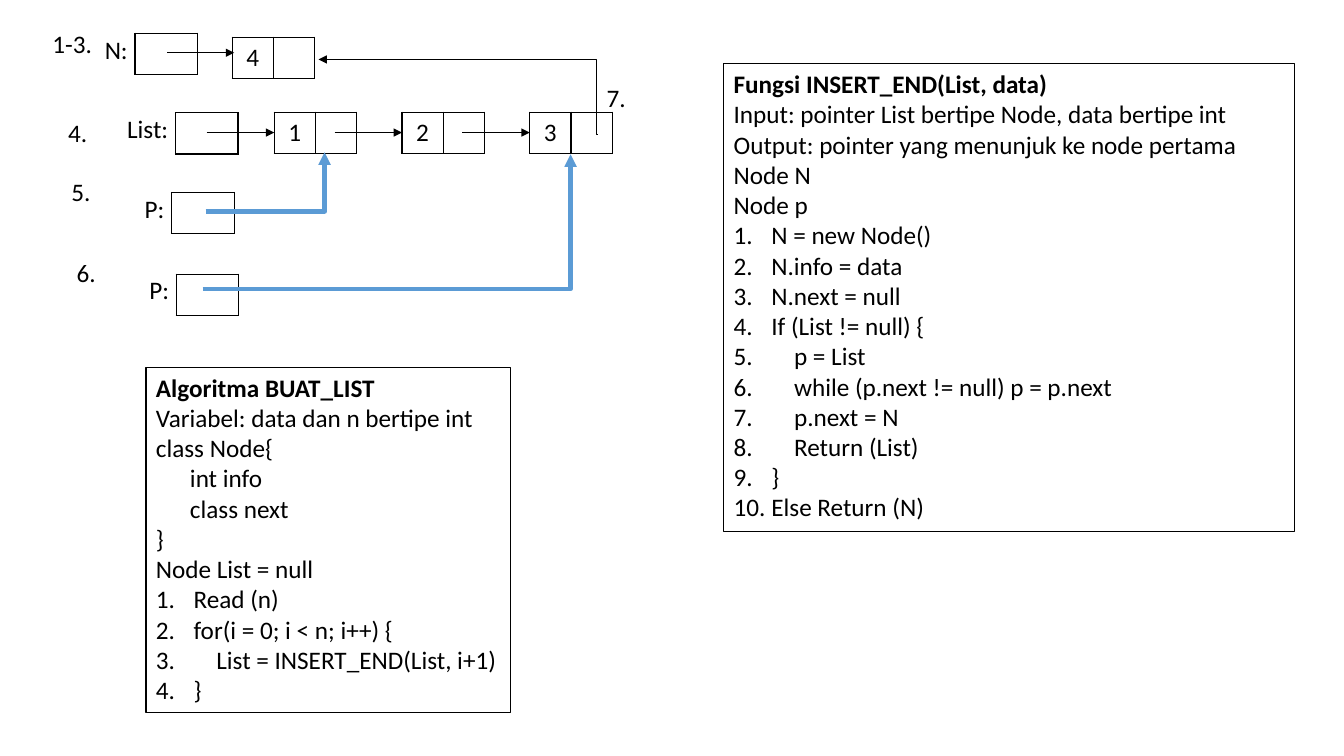
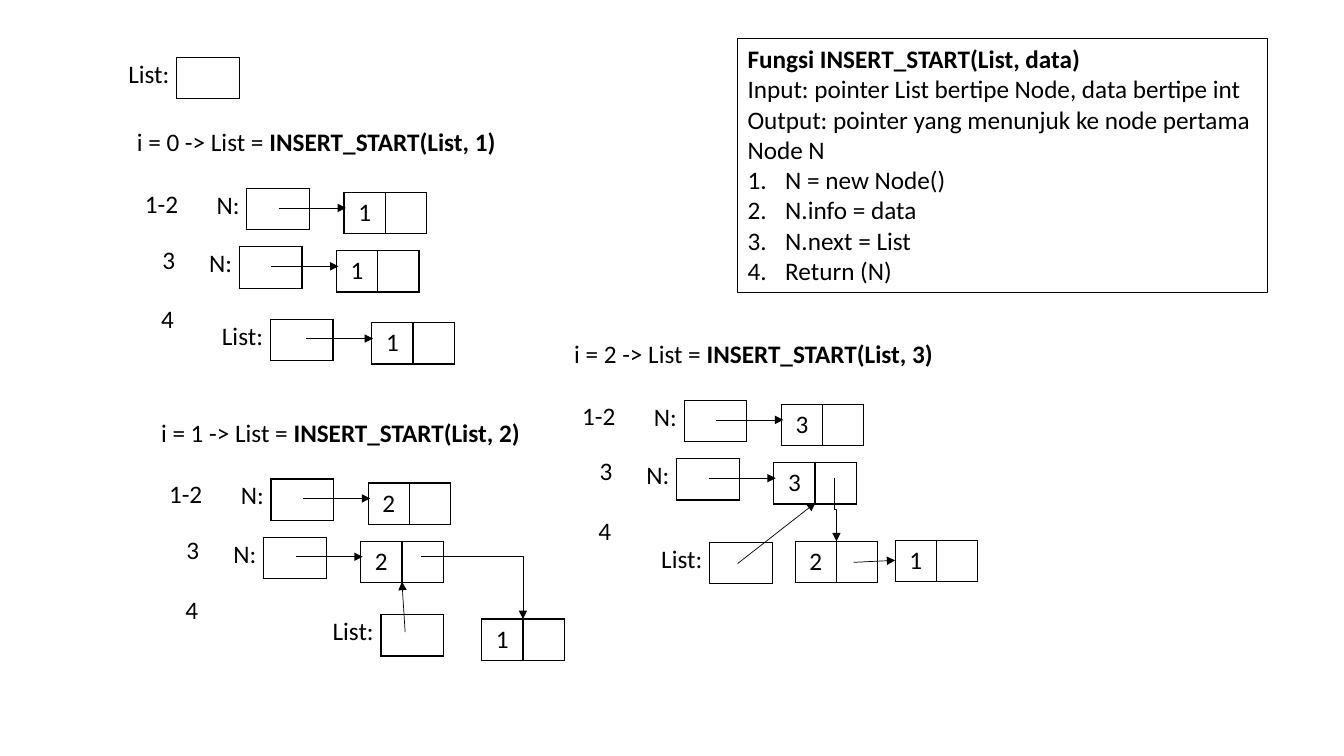
from dataclasses import dataclass
from typing import NamedTuple

from lxml import etree
from pptx import Presentation
from pptx import util as u
from pptx.dml import color
from pptx.enum import shapes, text
from pptx.oxml import ns


# Theme and shared measures (lengths in cm, type and lines in points)
@dataclass(frozen=True)
class Theme:
    font: str = "Calibri"
    size: float = 18
    ink: str = "000000"
    accent: str = "5B9BD5"
    border: float = 1
    outline: float = 0.75
    thin: float = 0.5
    thick: float = 3


THEME = Theme()
CELL_HEIGHT = 1.04
POINTER_WIDTH = 1.58
FIELD_WIDTH = 1.04
LABEL_WIDTH = 2.0
LINE_HEIGHT = 1.03
NUMBER_INDENT = 0.95


class Point(NamedTuple):
    x: float
    y: float

    def shift(self, dx: float, dy: float) -> "Point":
        return Point(self.x + dx, self.y + dy)


class Step(NamedTuple):
    number: str
    at: Point


class Pointer(NamedTuple):
    label: str
    at: Point


class Node(NamedTuple):
    info: str
    at: Point


class Arrow(NamedTuple):
    start: Point
    end: Point
    route: str = "straight"  # straight, corner, step or drop
    width: float = THEME.thin
    tint: str = THEME.ink


class Panel(NamedTuple):
    at: Point
    width: float
    height: float
    title: str
    intro: tuple[str, ...]
    numbered: tuple[str, ...]


class Call(NamedTuple):
    at: Point
    index: int
    data: str


# Text
def add_run(paragraph, words: str, bold: bool = False) -> None:
    run = paragraph.add_run()
    run.text = words
    run.font.name = THEME.font
    run.font.size = u.Pt(THEME.size)
    run.font.bold = bold
    run.font.color.rgb = color.RGBColor.from_string(THEME.ink)


def draw_text(slide, at: Point, width: float, *runs: tuple[str, bool],
              align=text.PP_ALIGN.LEFT) -> None:
    box = slide.shapes.add_textbox(u.Cm(at.x), u.Cm(at.y), u.Cm(width), u.Cm(LINE_HEIGHT))
    box.text_frame.word_wrap = True
    paragraph = box.text_frame.paragraphs[0]
    paragraph.alignment = align
    for words, bold in runs:
        add_run(paragraph, words, bold)


def number_line(paragraph) -> None:
    props = paragraph._p.get_or_add_pPr()
    indent = u.Cm(NUMBER_INDENT)
    props.set("marL", str(indent))
    props.set("indent", str(-indent))
    etree.SubElement(props, ns.qn("a:buFont"), typeface="+mj-lt")
    etree.SubElement(props, ns.qn("a:buAutoNum"), type="arabicPeriod")


def draw_panel(slide, panel: Panel) -> None:
    frame = slide.shapes.add_shape(
        shapes.MSO_SHAPE.RECTANGLE, u.Cm(panel.at.x), u.Cm(panel.at.y),
        u.Cm(panel.width), u.Cm(panel.height))
    frame.shadow.inherit = False
    frame.fill.background()
    frame.line.color.rgb = color.RGBColor.from_string(THEME.ink)
    frame.line.width = u.Pt(THEME.outline)
    body = frame.text_frame
    body.word_wrap = True
    body.vertical_anchor = text.MSO_ANCHOR.TOP
    lines = (panel.title, *panel.intro, *panel.numbered)
    first_numbered = len(lines) - len(panel.numbered)
    for i, line in enumerate(lines):
        paragraph = body.add_paragraph() if i else body.paragraphs[0]
        paragraph.alignment = text.PP_ALIGN.LEFT
        if i >= first_numbered:
            number_line(paragraph)
        add_run(paragraph, line, bold=i == 0)


# Memory cells
def outline_cell(cell) -> None:
    cell.fill.background()
    props = cell._tc.get_or_add_tcPr()
    for i, side in enumerate(("lnL", "lnR", "lnT", "lnB")):
        edge = etree.Element(ns.qn(f"a:{side}"), w=str(u.Pt(THEME.border)))
        fill = etree.SubElement(edge, ns.qn("a:solidFill"))
        etree.SubElement(fill, ns.qn("a:srgbClr"), val=THEME.ink)
        props.insert(i, edge)


def draw_cells(slide, at: Point, widths: tuple[float, ...], info: str = "") -> None:
    table = slide.shapes.add_table(
        1, len(widths), u.Cm(at.x), u.Cm(at.y),
        u.Cm(sum(widths)), u.Cm(CELL_HEIGHT)).table
    table.first_row = False
    table.horz_banding = False
    for i, width in enumerate(widths):
        table.columns[i].width = u.Cm(width)
        outline_cell(table.cell(0, i))
    if info:
        paragraph = table.cell(0, 0).text_frame.paragraphs[0]
        paragraph.alignment = text.PP_ALIGN.CENTER
        add_run(paragraph, info)


def draw_node(slide, node: Node) -> None:
    draw_cells(slide, node.at, (FIELD_WIDTH, FIELD_WIDTH), node.info)


def draw_pointer(slide, pointer: Pointer) -> None:
    draw_cells(slide, pointer.at, (POINTER_WIDTH,))
    draw_text(slide, pointer.at.shift(0.07 - LABEL_WIDTH, -0.11), LABEL_WIDTH,
              (pointer.label, False), align=text.PP_ALIGN.RIGHT)


# Arrows
def draw_arrow(slide, arrow: Arrow) -> None:
    start, end = arrow.start, arrow.end
    if arrow.route == "drop":  # frame before its quarter turn
        mid = Point((start.x + end.x) / 2, (start.y + end.y) / 2)
        half_x, half_y = (end.y - start.y) / 2, (end.x - start.x) / 2
        start, end = mid.shift(half_x, -half_y), mid.shift(-half_x, half_y)
    kind = (shapes.MSO_CONNECTOR.STRAIGHT if arrow.route == "straight"
            else shapes.MSO_CONNECTOR.ELBOW)
    link = slide.shapes.add_connector(
        kind, u.Cm(start.x), u.Cm(start.y), u.Cm(end.x), u.Cm(end.y))
    link.line.color.rgb = color.RGBColor.from_string(arrow.tint)
    link.line.width = u.Pt(arrow.width)
    props = link._element.spPr
    geometry = props.find(ns.qn("a:prstGeom"))
    if arrow.route == "corner":
        geometry.set("prst", "bentConnector2")
    elif arrow.route == "step":
        guides = geometry.find(ns.qn("a:avLst"))
        etree.SubElement(guides, ns.qn("a:gd"), name="adj1", fmla="val 200")
    elif arrow.route == "drop":
        props.find(ns.qn("a:xfrm")).set("rot", str(270 * 60000))
    etree.SubElement(props.find(ns.qn("a:ln")), ns.qn("a:tailEnd"), type="triangle")
    etree.SubElement(props, ns.qn("a:effectLst"))


# Combined parts
def draw_step(slide, step: Step) -> None:
    draw_text(slide, step.at, 1.8, (step.number, False))


def draw_new_node(slide, at: Point, info: str) -> None:
    draw_pointer(slide, Pointer("N:", at))
    draw_node(slide, Node(info, at.shift(2.45, 0.1)))
    tip = at.shift(0.81, 0.49)
    draw_arrow(slide, Arrow(tip, tip.shift(1.69, 0)))


def draw_call(slide, call: Call) -> None:
    at = call.at
    draw_text(slide, at, 10, (f"i = {call.index} -> List = ", False),
              (f"INSERT_START(List, {call.data})", True))
    for step in (Step("1-2", at.shift(0.2, 1.55)), Step("3", at.shift(0.64, 2.95)),
                 Step("4", at.shift(0.61, 4.45))):
        draw_step(slide, step)
    draw_new_node(slide, at.shift(3.02, 1.68), call.data)
    draw_new_node(slide, at.shift(2.83, 3.15), call.data)


def draw_all(slide, parts: tuple) -> None:
    painters = {Step: draw_step, Pointer: draw_pointer, Node: draw_node,
                Arrow: draw_arrow, Panel: draw_panel, Call: draw_call}
    for part in parts:
        painters[type(part)](slide, part)


# Content
SIGNATURE = ("Input: pointer List bertipe Node, data bertipe int",
             "Output: pointer yang menunjuk ke node pertama", "Node N")
NEW_NODE = ("N = new Node()", "N.info = data")

INSERT_END = Panel(
    Point(18.24, 1.6), 14.38, 11.79, "Fungsi INSERT_END(List, data)",
    (*SIGNATURE, "Node p"),
    (*NEW_NODE, "N.next = null", "If (List != null) {", "    p = List",
     "    while (p.next != null) p = p.next", "    p.next = N",
     "    Return (List)", "}", "Else Return (N)"))
BUILD_LIST = Panel(
    Point(3.68, 9.25), 9.19, 8.71, "Algoritma BUAT_LIST",
    ("Variabel: data dan n bertipe int", "class Node{", "      int info",
     "      class next", "}", "Node List = null"),
    ("Read (n)", "for(i = 0; i < n; i++) {", "    List = INSERT_END(List, i+1)", "}"))
INSERT_START = Panel(
    Point(18.59, 0.97), 13.36, 6.4, "Fungsi INSERT_START(List, data)",
    SIGNATURE, (*NEW_NODE, "N.next = List", "Return (N)"))


def build_insert_end(slide) -> None:
    draw_new_node(slide, Point(3.4, 0.84), "4")
    for i, info in enumerate("123"):
        draw_node(slide, Node(info, Point(6.91 + 3.22 * i, 2.83)))
        tip = Point(5.21 + 3.22 * i, 3.34)
        draw_arrow(slide, Arrow(tip, tip.shift(1.7, 0)))
    draw_all(slide, (
        INSERT_END, BUILD_LIST,
        Step("1-3.", Point(1.07, 0.58)), Step("4.", Point(1.47, 2.84)),
        Step("5.", Point(1.55, 4.32)), Step("6.", Point(1.68, 6.35)),
        Step("7.", Point(15.04, 1.96)),
        Pointer("List:", Point(4.42, 2.84)),
        Pointer("P:", Point(4.32, 4.85)), Pointer("P:", Point(4.44, 6.91)),
        Arrow(Point(5.18, 5.33), Point(8.18, 3.84), "corner", THEME.thick, THEME.accent),
        Arrow(Point(5.11, 7.29), Point(14.38, 3.89), "corner", THEME.thick, THEME.accent),
        Arrow(Point(15.06, 3.4), Point(8.03, 1.5), "step", THEME.outline)))


def build_insert_start(slide) -> None:
    draw_all(slide, (
        INSERT_START, Pointer("List:", Point(4.45, 1.45)),
        # First call
        Call(Point(3.2, 3.07), 0, "1"),
        Pointer("List:", Point(6.81, 8.05)), Node("1", Point(9.37, 8.13)),
        Arrow(Point(7.72, 8.53), Point(9.4, 8.53)),
        # Second call
        Call(Point(3.81, 10.39), 1, "2"),
        Pointer("List:", Point(9.6, 15.49)), Node("1", Point(12.14, 15.6)),
        Arrow(Point(10.21, 15.93), Point(10.13, 14.66)),
        Arrow(Point(10.62, 14.02), Point(13.18, 15.6), "corner"),
        # Third call
        Call(Point(14.22, 8.41), 2, "3"),
        Pointer("List:", Point(17.88, 13.67)),
        Node("2", Point(20.04, 13.64)), Node("1", Point(22.56, 13.61)),
        Arrow(Point(18.59, 14.2), Point(20.55, 12.67)),
        Arrow(Point(21.51, 14.17), Point(22.56, 14.12)),
        Arrow(Point(21.03, 12.04), Point(21.08, 13.64), "drop")))


def main() -> None:
    deck = Presentation()
    deck.slide_width, deck.slide_height = u.Cm(33.87), u.Cm(19.05)
    blank = deck.slide_layouts[6]
    for build in (build_insert_end, build_insert_start):
        build(deck.slides.add_slide(blank))
    deck.save("out.pptx")


if __name__ == "__main__":
    main()
